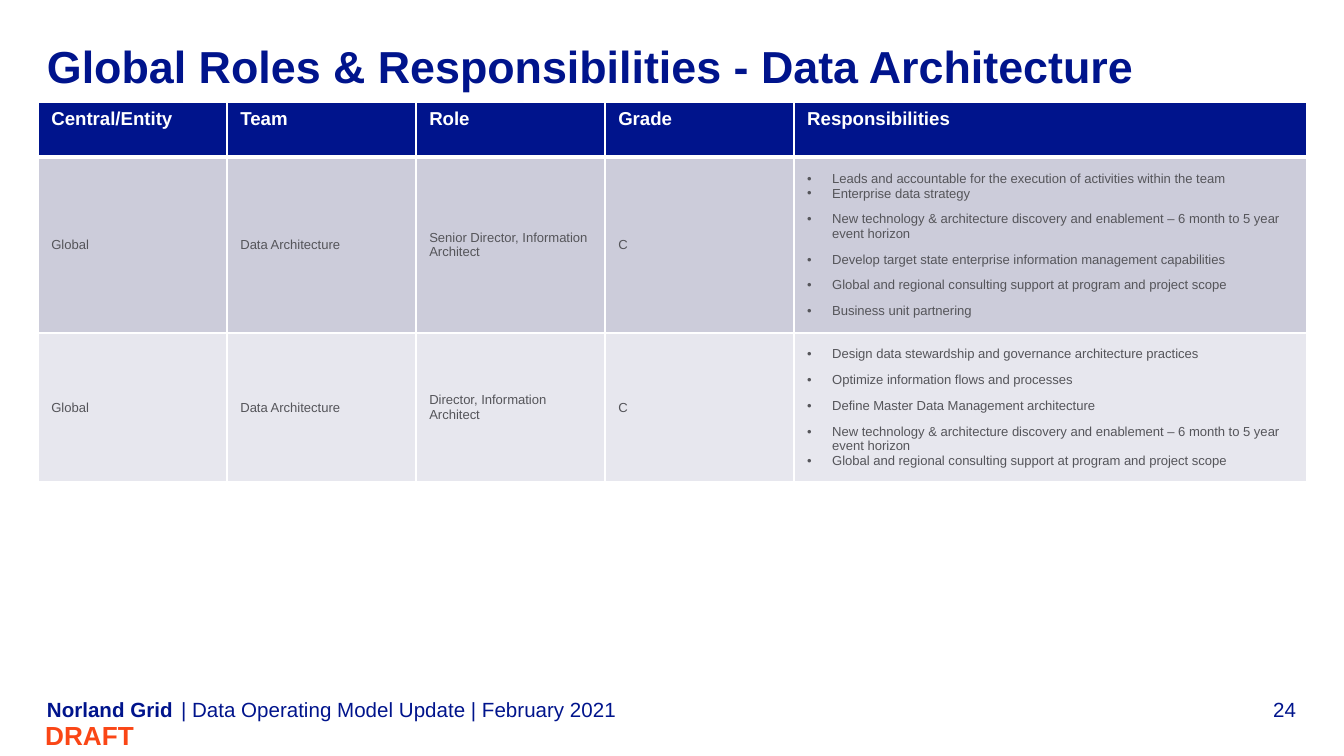
import pptx
import pptx.dml.color
import pptx.enum.text
import pptx.oxml
import pptx.oxml.ns
import pptx.util

PX = 914400 / 134.4
NAVY, GREY, WHITE, ORANGE = "00148C", "55555A", "FFFFFF", "FA4616"
ALIGN = pptx.enum.text.PP_ALIGN
ANCHOR = pptx.enum.text.MSO_ANCHOR

HEADERS = ["Central/Entity", "Team", "Role", "Grade", "Responsibilities"]
COL_WIDTHS = [189, 189, 189, 189, 513]
ROW_HEIGHTS = [55, 176, 149]

HORIZON = ("New technology & architecture discovery and enablement "
           "– 6 month to 5 year event horizon")
CONSULTING = "Global and regional consulting support at program and project scope"

# Row fill, plain cells, then duties as (text, space after in points)
ROLES = [
    ("CCCCDA", ["Global", "Data Architecture", "Senior Director, Information Architect", "C"], [
        ("Leads and accountable for the execution of activities within the team", 0),
        ("Enterprise data strategy", 6),
        (HORIZON, 6),
        ("Develop target state enterprise information management capabilities", 6),
        (CONSULTING, 6),
        ("Business unit partnering", 6),
    ]),
    ("E7E7EE", ["Global", "Data Architecture", "Director, Information Architect", "C"], [
        ("Design data stewardship and governance architecture practices", 6),
        ("Optimize information flows and processes", 6),
        ("Define Master Data Management architecture", 6),
        (HORIZON, 0),
        (CONSULTING, 0),
    ]),
]


def px(n):
    return pptx.util.Emu(round(n * PX))


def rgb(color):
    return pptx.dml.color.RGBColor.from_string(color)


def xml(markup):
    tag, rest = markup[1:].split(" ", 1)
    return pptx.oxml.parse_xml(f"<{tag} {pptx.oxml.ns.nsdecls('a')} {rest}")


def write(p, text, size, color, bold=False, after=0):
    p.text = text
    p.space_after = pptx.util.Pt(after)
    p.font.name = "Arial"
    p.font.size = pptx.util.Pt(size)
    p.font.bold = bold
    p.font.color.rgb = rgb(color)


def add_text(s, box, text, size, color, bold=False, align=ALIGN.LEFT,
             anchor=ANCHOR.BOTTOM):
    tf = s.shapes.add_textbox(*map(px, box)).text_frame
    tf.margin_left = tf.margin_right = tf.margin_top = tf.margin_bottom = 0
    tf.word_wrap = True
    tf.vertical_anchor = anchor
    p = tf.paragraphs[0]
    p.alignment = align
    write(p, text, size, color, bold)


def style_cell(cell, fill, anchor, top=1, bottom=1):
    cell.fill.solid()
    cell.fill.fore_color.rgb = rgb(fill)
    cell.vertical_anchor = anchor
    tc_pr = cell._tc.get_or_add_tcPr()
    for i, (side, width) in enumerate([("L", 1), ("R", 1), ("T", top), ("B", bottom)]):
        tc_pr.insert(i, xml(
            f'<a:ln{side} w="{width * 12700}"><a:solidFill>'
            f'<a:srgbClr val="{WHITE}"/></a:solidFill></a:ln{side}>'))


def add_bullet(p):
    p_pr = p._p.get_or_add_pPr()
    p_pr.set("marL", str(px(25)))
    p_pr.set("indent", str(-px(25)))
    p_pr.append(xml(f'<a:buClr ><a:srgbClr val="{GREY}"/></a:buClr>'))
    p_pr.append(xml('<a:buFont typeface="Arial"/>'))
    p_pr.append(xml('<a:buChar char="•"/>'))


def fill_duties(tf, duties):
    for i, (text, after) in enumerate(duties):
        p = tf.add_paragraph() if i else tf.paragraphs[0]
        add_bullet(p)
        write(p, text, 7, GREY, after=after)


def add_roles_table(s):
    table = s.shapes.add_table(
        len(ROLES) + 1, len(HEADERS), px(38), px(102),
        px(sum(COL_WIDTHS)), px(sum(ROW_HEIGHTS))).table
    table.horz_banding = False
    for col, width in zip(table.columns, COL_WIDTHS):
        col.width = px(width)
    for row, height in zip(table.rows, ROW_HEIGHTS):
        row.height = px(height)

    # Header row
    for c, text in enumerate(HEADERS):
        cell = table.cell(0, c)
        style_cell(cell, NAVY, ANCHOR.TOP, bottom=3)
        write(cell.text_frame.paragraphs[0], text, 10, WHITE, True, 6)

    # One row per role
    for r, (fill, labels, duties) in enumerate(ROLES, 1):
        for c in range(len(HEADERS)):
            style_cell(table.cell(r, c), fill, ANCHOR.MIDDLE, top=3 if r == 1 else 1)
        for c, text in enumerate(labels):
            write(table.cell(r, c).text_frame.paragraphs[0], text, 7, GREY, after=6)
        fill_duties(table.cell(r, len(labels)).text_frame, duties)


def main():
    prs = pptx.Presentation()
    prs.slide_width, prs.slide_height = px(1344), px(756)
    s = prs.slides.add_slide(prs.slide_layouts[6])

    # Title and table
    add_text(s, (47, 39, 1249, 63), "Global Roles & Responsibilities - Data Architecture",
             24, NAVY, True, anchor=ANCHOR.TOP)
    add_roles_table(s)

    # Footer
    add_text(s, (47, 696, 134, 26), "Norland Grid", 11, NAVY, True)
    add_text(s, (181, 696, 1058, 26), "| Data Operating Model Update | February 2021", 11, NAVY)
    add_text(s, (1218, 696, 78, 26), "24", 11, NAVY, align=ALIGN.RIGHT)
    add_text(s, (16, 719, 118, 32), "DRAFT", 14, ORANGE, True, ALIGN.RIGHT, ANCHOR.MIDDLE)

    prs.save("out.pptx")


if __name__ == "__main__":
    main()
